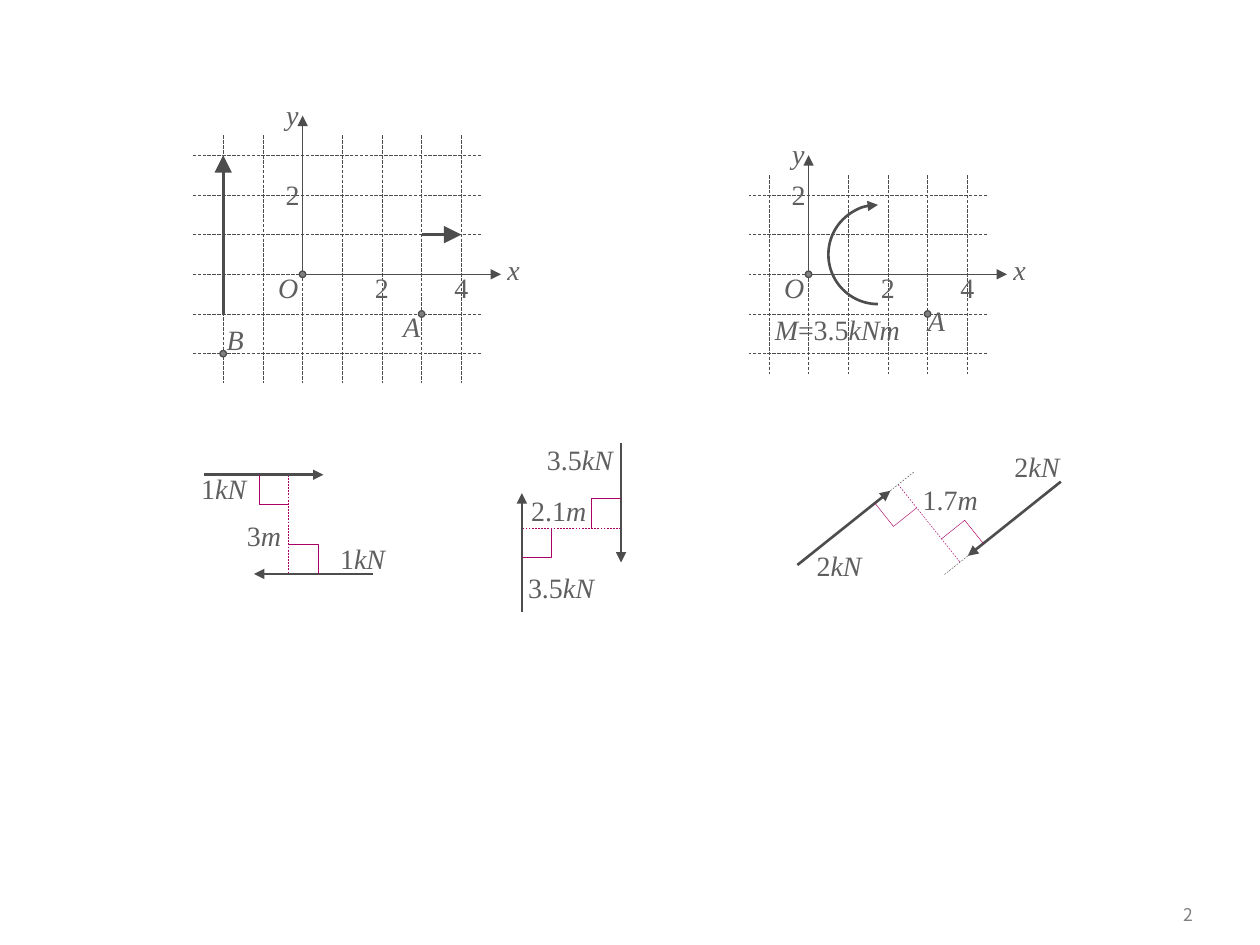
from dataclasses import dataclass
from itertools import groupby
from math import cos, radians, sin

from lxml.etree import SubElement
from pptx import Presentation
from pptx.dml.color import RGBColor
from pptx.enum.dml import MSO_LINE as Dash
from pptx.enum.shapes import MSO_CONNECTOR, MSO_SHAPE as Shape
from pptx.enum.text import MSO_ANCHOR, MSO_AUTO_SIZE, PP_ALIGN
from pptx.oxml.ns import qn
from pptx.util import Cm, Pt


@dataclass(frozen=True)
class Theme:
    """Colours, fonts and sizes shared by the slide."""
    ink: RGBColor = RGBColor.from_string("4D4D4D")
    letter: RGBColor = RGBColor.from_string("5F5F5F")
    muted: RGBColor = RGBColor.from_string("808080")
    accent: RGBColor = RGBColor.from_string("A90165")
    math_font: str = "Times New Roman"
    page_font: str = "Noto Sans CJK KR"
    math_size: Pt = Pt(16)
    page_size: Pt = Pt(10)
    hairline: Pt = Pt(0.25)
    axis: Pt = Pt(0.75)
    force: Pt = Pt(1.5)


@dataclass(frozen=True)
class Box:
    """A region of the slide in centimetres."""
    left: float
    top: float
    width: float
    height: float


THEME = Theme()
UNIT = 0.8


def style_line(shape, color, width, dash=None, head=None):
    """Set the stroke of a shape and, when asked, an arrowhead of the given size."""
    shape.line.color.rgb = color
    shape.line.width = width
    if dash:
        shape.line.dash_style = dash
    if head:
        SubElement(shape.line._get_or_add_ln(), qn("a:tailEnd"),
                   type="triangle", w=head, len=head)


def draw_line(slide, start, end, width, color=THEME.ink, dash=None, head=None):
    """Draw a straight line between two points."""
    line = slide.shapes.add_connector(
        MSO_CONNECTOR.STRAIGHT, *(Cm(value) for value in (*start, *end)))
    SubElement(line._element.spPr, qn("a:effectLst"))
    style_line(line, color, width, dash, head)


def draw_label(slide, text, left, top, width, height=0.94, spacing=None):
    """Write a centred formula with its letters in italics."""
    label = slide.shapes.add_textbox(Cm(left), Cm(top), Cm(width), Cm(height))
    frame = label.text_frame
    frame.word_wrap = True
    frame.auto_size = MSO_AUTO_SIZE.SHAPE_TO_FIT_TEXT
    formula = frame.paragraphs[0]
    formula.alignment = PP_ALIGN.CENTER
    if spacing:
        formula.line_spacing = spacing
    for italic, symbols in groupby(text, str.isalpha):
        run = formula.add_run()
        run.text = "".join(symbols)
        run.font.name = THEME.math_font
        run.font.size = THEME.math_size
        run.font.color.rgb = THEME.letter
        run.font.italic = italic


def draw_point(slide, x, y, size=0.13):
    """Mark a point with a small dot."""
    dot = slide.shapes.add_shape(
        Shape.OVAL, Cm(x - size / 2), Cm(y - size / 2), Cm(size), Cm(size))
    dot.shadow.inherit = False
    dot.fill.solid()
    dot.fill.fore_color.rgb = THEME.muted
    style_line(dot, THEME.ink, Pt(0))


def draw_graph(slide, box, peak, points, labels, forces=()):
    """Draw a coordinate grid in its box and return the place of the origin."""
    right, bottom = box.left + box.width, box.top + box.height
    x0, y0 = right - 4.5 * UNIT, box.top + (peak + 0.5) * UNIT

    def at(column, row):
        """Turn grid coordinates into slide centimetres."""
        return x0 + column * UNIT, y0 - row * UNIT

    for start, end in (((3, 1), (4, 1)), ((-2, -1), (-2, 3))) if forces else ():
        draw_line(slide, at(*start), at(*end), THEME.force, head="lg")
    for tip in ((5, 0), (0, peak + 1)):
        draw_line(slide, at(0, 0), at(*tip), THEME.axis, head="med")
    for column in range(-int((x0 - box.left) / UNIT), 5):
        x, _ = at(column, 0)
        draw_line(slide, (x, box.top), (x, bottom), THEME.hairline,
                  dash=Dash.LONG_DASH)
    for row in range(-int((bottom - y0) / UNIT), peak + 1):
        _, y = at(0, row)
        draw_line(slide, (right, y), (box.left, y), THEME.hairline,
                  dash=Dash.LONG_DASH)
    for point in ((0, 0), *points):
        draw_point(slide, *at(*point))

    draw_label(slide, "y", x0 - 0.6, y0 - (peak + 1) * UNIT - 0.2, 0.79, 0.61, 0.5)
    axis_labels = (("x", 3.86, -0.56, 0.79), ("2", 1, -0.2, 1.2),
                   ("4", 2.6, -0.2, 1.2), ("2", -0.8, -2.08, 1.2),
                   ("O", -0.89, -0.2, 1.2))
    for text, dx, dy, width in (*axis_labels, *labels):
        draw_label(slide, text, x0 + dx, y0 + dy, width)
    return x0, y0


def draw_force_graph(slide, box):
    """Draw the grid with two forces and the points A and B."""
    draw_graph(slide, box, 3, ((3, -1), (-2, -2)),
               (("A", 1.6, 0.58, 1.2), ("B", -1.96, 0.84, 1.2)), forces=True)


def draw_moment_graph(slide, box):
    """Draw the grid with a moment and the point A."""
    x0, y0 = draw_graph(slide, box, 2, ((3, -1),),
                        (("A", 1.98, 0.46, 1.2), ("M=3.5kNm", -1.02, 0.64, 3.2)))
    moment = slide.shapes.add_shape(
        Shape.ARC, Cm(x0 + 0.4), Cm(y0 - 1.4), Cm(2), Cm(2))
    moment.adjustments[0], moment.adjustments[1] = 108, 0
    moment.rotation = 270
    moment.shadow.inherit = False
    moment.fill.background()
    style_line(moment, THEME.ink, THEME.force, head="med")


def draw_couple(slide, box, angle, tip, labels, extended=True):
    """Draw two opposite forces 2 cm apart, turned about the centre of the box."""
    x0, y0 = box.left + box.width / 2, box.top + box.height / 2

    def at(x, y, turn):
        """Turn a point about the centre."""
        a = radians(angle + turn)
        return x0 + x * cos(a) - y * sin(a), y0 + x * sin(a) + y * cos(a)

    draw_line(slide, at(0, -1, 0), at(0, 1, 0), THEME.hairline, THEME.accent, Dash.DASH)
    for turn in (0, 180):
        if extended:
            draw_line(slide, at(-0.2, -1, turn), at(0.4, -1, turn),
                      THEME.hairline, dash=Dash.DASH)
        draw_line(slide, at(tip - 2.4, -1, turn), at(tip, -1, turn),
                  THEME.force, head="med")
        start, *rest = [tuple(Cm(value) for value in at(x, y, turn))
                        for x, y in ((0, -0.4), (-0.6, -0.4), (-0.6, -1))]
        outline = slide.shapes.build_freeform(*start)
        outline.add_line_segments(rest, close=False)
        corner = outline.convert_to_shape()
        corner.shadow.inherit = False
        corner.fill.background()
        style_line(corner, THEME.accent, THEME.hairline)
    for text, dx, dy, width in labels:
        draw_label(slide, text, x0 + dx, y0 + dy, width)


def draw_page_number(slide, box, number):
    """Write the page number at the right of its box."""
    page = slide.shapes.add_textbox(
        Cm(box.left), Cm(box.top), Cm(box.width), Cm(box.height))
    frame = page.text_frame
    frame.word_wrap = True
    frame.vertical_anchor = MSO_ANCHOR.MIDDLE
    frame.text = number
    frame.paragraphs[0].alignment = PP_ALIGN.RIGHT
    font = frame.paragraphs[0].runs[0].font
    font.name, font.size = THEME.page_font, THEME.page_size
    font.color.rgb = THEME.muted


def main():
    """Build the slide and save it."""
    deck = Presentation()
    deck.slide_width, deck.slide_height = Cm(25.4), Cm(19.05)
    slide = deck.slides.add_slide(deck.slide_layouts[6])
    draw_force_graph(slide, Box(3.9, 2.73, 5.8, 5))
    draw_moment_graph(slide, Box(15.1, 3.53, 4.8, 4))
    draw_couple(slide, Box(4.12, 9.57, 3.4, 2), 0, 0.7,
                (("3m", -1.12, -0.25, 1.24), ("1kN", 0.69, 0.23, 1.6),
                 ("1kN", -2.11, -1.19, 1.6)), extended=False)
    draw_couple(slide, Box(10.52, 8.94, 2, 3.4), 90, 0.7,
                (("2.1m", -1.18, -0.81, 1.85), ("3.5kN", -0.83, -1.85, 2),
                 ("3.5kN", -1.21, 0.74, 2)))
    draw_couple(slide, Box(16.06, 9.35, 5.34, 2.4), -38.6, -0.2,
                (("1.7m", -0.5, -0.95, 1.85), ("2kN", 1.31, -1.61, 1.73),
                 ("2kN", -2.68, 0.39, 1.73)))
    draw_page_number(slide, Box(22.5, 18.01, 1.81, 0.84), "2")
    deck.save("out.pptx")


if __name__ == "__main__":
    main()
